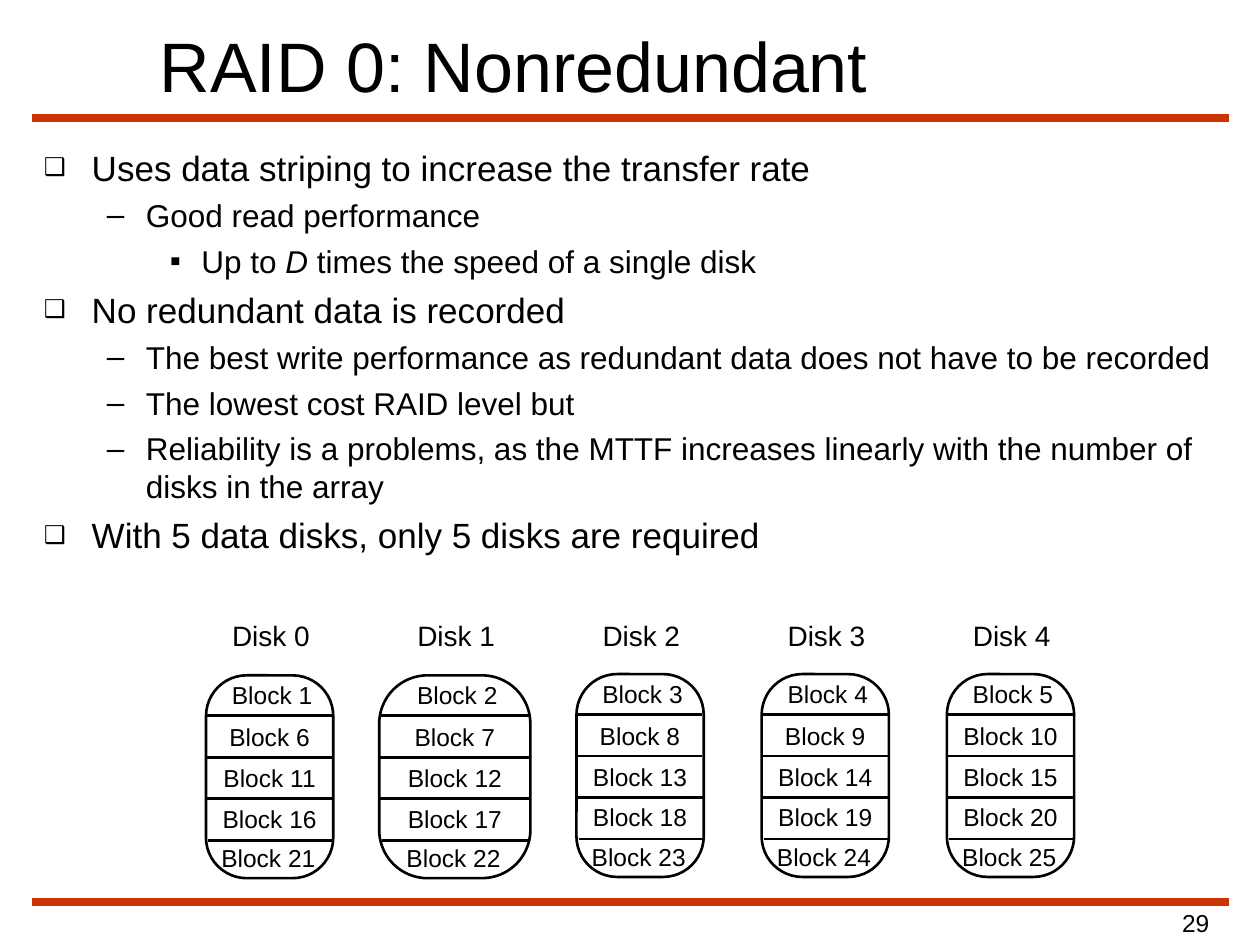
from lxml import etree
from pptx import Presentation
from pptx.dml.color import RGBColor
from pptx.enum import shapes, text
from pptx.oxml.ns import qn
from pptx.util import Inches, Pt

BLACK = RGBColor(0x00, 0x00, 0x00)
RULE_RED = RGBColor(0xCC, 0x33, 0x00)
FONT = "Arial"

BULLETS = [("❑", 0.38, 0.38, 20, 5), ("–", 0.81, 0.31, 18, 4.5), ("▪", 1.25, 0.25, 18, 4.5)]
POINTS = [
    (0, ["Uses data striping to increase the transfer rate"]),
    (1, ["Good read performance"]),
    (2, ["Up to ", "D", " times the speed of a single disk"]),
    (0, ["No redundant data is recorded"]),
    (1, ["The best write performance as redundant data does not have to be recorded"]),
    (1, ["The lowest cost RAID level but"]),
    (1, ["Reliability is a problems, as the MTTF increases linearly with the number of "
         "disks in the array"]),
    (0, ["With 5 data disks, only 5 disks are required"]),
]
ITALIC_TERM = "D"

DISK_COUNT = 5
DISK_PITCH = 1.47
DISK_HEIGHT = 1.61
DIVIDERS = [(0.32, 0, 0.01), (0.65, 0, 0.01), (0.98, 0.01, 0), (1.31, 0.02, 0)]
BLOCK_ROWS = [(-0.01, 0.02), (0.32, 0), (0.65, 0), (0.97, 0), (1.28, -0.01)]


def style(paragraph, size):
    paragraph.font.name = FONT
    paragraph.font.size = Pt(size)
    paragraph.font.color.rgb = BLACK


def add_line(parent, x1, y1, x2, y2, color, width):
    line = parent.add_connector(shapes.MSO_CONNECTOR.STRAIGHT,
                                Inches(x1), Inches(y1), Inches(x2), Inches(y2))
    line.line.color.rgb = color
    line.line.width = Pt(width)
    etree.SubElement(line._element.spPr, qn("a:effectLst"))


def add_label(parent, center, top, width, height, wording, size):
    label = parent.add_textbox(Inches(center - width / 2), Inches(top),
                               Inches(width), Inches(height))
    frame = label.text_frame
    frame.word_wrap = False
    frame.auto_size = text.MSO_AUTO_SIZE.SHAPE_TO_FIT_TEXT
    paragraph = frame.paragraphs[0]
    paragraph.text = wording
    paragraph.alignment = text.PP_ALIGN.CENTER
    style(paragraph, size)


def add_bullet(paragraph, level):
    char, indent, hanging, size, before = BULLETS[level]
    paragraph.level = level
    props = paragraph._p.get_or_add_pPr()
    props.set("marL", str(Inches(indent)))
    props.set("indent", str(-Inches(hanging)))
    color = etree.SubElement(props, qn("a:buClr"))
    etree.SubElement(color, qn("a:srgbClr"), val=str(BLACK))
    if level == 0:
        etree.SubElement(props, qn("a:buSzPct"), val="70000")
    etree.SubElement(props, qn("a:buFont"), typeface=FONT)
    etree.SubElement(props, qn("a:buChar"), char=char)
    style(paragraph, size)
    return before


def add_title(slide, left, top, width, height):
    title = slide.shapes.add_textbox(Inches(left), Inches(top), Inches(width), Inches(height))
    frame = title.text_frame
    frame.word_wrap = True
    frame.vertical_anchor = text.MSO_ANCHOR.MIDDLE
    frame.text = "RAID 0: Nonredundant"
    style(frame.paragraphs[0], 40)


def add_points(slide, left, top, width, height):
    body = slide.shapes.add_textbox(Inches(left), Inches(top), Inches(width), Inches(height))
    frame = body.text_frame
    frame.word_wrap = True
    for index, (level, pieces) in enumerate(POINTS):
        paragraph = frame.add_paragraph() if index else frame.paragraphs[0]
        before = add_bullet(paragraph, level)
        if index:
            paragraph.space_before = Pt(before)
        for piece in pieces:
            run = paragraph.add_run()
            run.text = piece
            if piece == ITALIC_TERM:
                run.font.italic = True


def add_disk(group, number, center, top, width):
    left = center - width / 2
    outline = group.add_shape(shapes.MSO_SHAPE.ROUNDED_RECTANGLE, Inches(left), Inches(top),
                              Inches(width), Inches(DISK_HEIGHT))
    outline.adjustments[0] = 0.32
    outline.shadow.inherit = False
    outline.fill.background()
    outline.line.color.rgb = BLACK
    outline.line.width = Pt(1.5)
    for drop, start, end in DIVIDERS:
        add_line(group, left + start, top + drop, left + width - end, top + drop, BLACK, 1.5)
    for row, (drop, shift) in enumerate(BLOCK_ROWS):
        block = row * DISK_COUNT + number + 1
        add_label(group, center + shift, top + drop, 0.84 if block < 10 else 0.95, 0.34,
                  f"Block {block}", 14)


def add_disk_array(slide, left, top):
    group = slide.shapes.add_group_shape().shapes
    for number in range(DISK_COUNT):
        center = left + 0.5 + number * DISK_PITCH
        add_disk(group, number, center, top + (0.5 if number < 2 else 0.49),
                 1.2 if number == 1 else 1.01)
        add_label(group, center + 0.01, top, 0.9, 0.37, f"Disk {number}", 16)


def add_page_number(slide, left, top, width, height):
    page = slide.shapes.add_textbox(Inches(left), Inches(top), Inches(width), Inches(height))
    frame = page.text_frame
    frame.word_wrap = True
    frame.margin_left = frame.margin_right = frame.margin_top = frame.margin_bottom = 0
    paragraph = frame.paragraphs[0]
    paragraph.text = "29"
    paragraph.alignment = text.PP_ALIGN.CENTER
    style(paragraph, 14)


def main():
    deck = Presentation()
    deck.slide_width, deck.slide_height = Inches(10), Inches(7.5)
    slide = deck.slides.add_slide(deck.slide_layouts[6])
    for y in (0.94, 7.16):
        add_line(slide.shapes, 0.25, y, 9.75, y, RULE_RED, 4.5)
    add_title(slide, 1.17, 0.08, 8.58, 0.87)
    add_points(slide, 0.25, 1.11, 9.5, 5.93)
    add_disk_array(slide, 1.64, 4.86)
    add_page_number(slide, 9.14, 7.21, 0.7, 0.23)
    deck.save("out.pptx")


if __name__ == "__main__":
    main()
